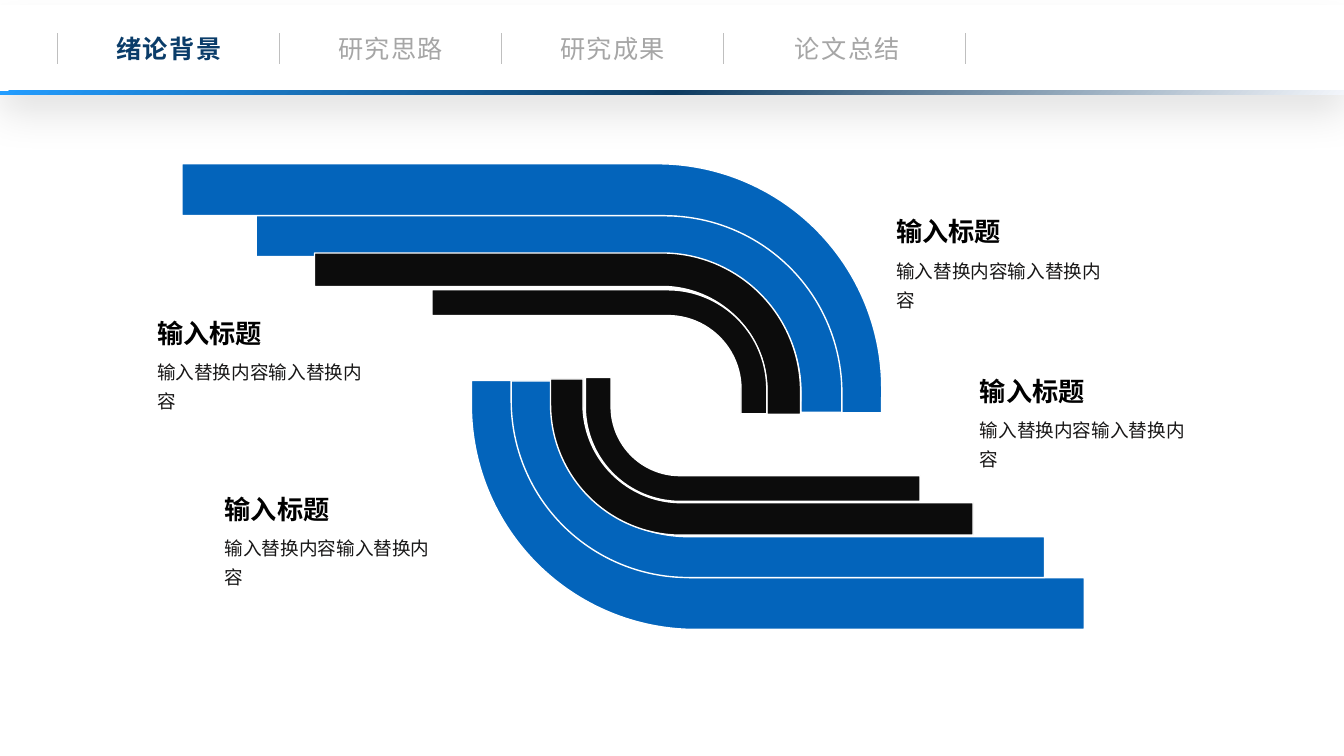
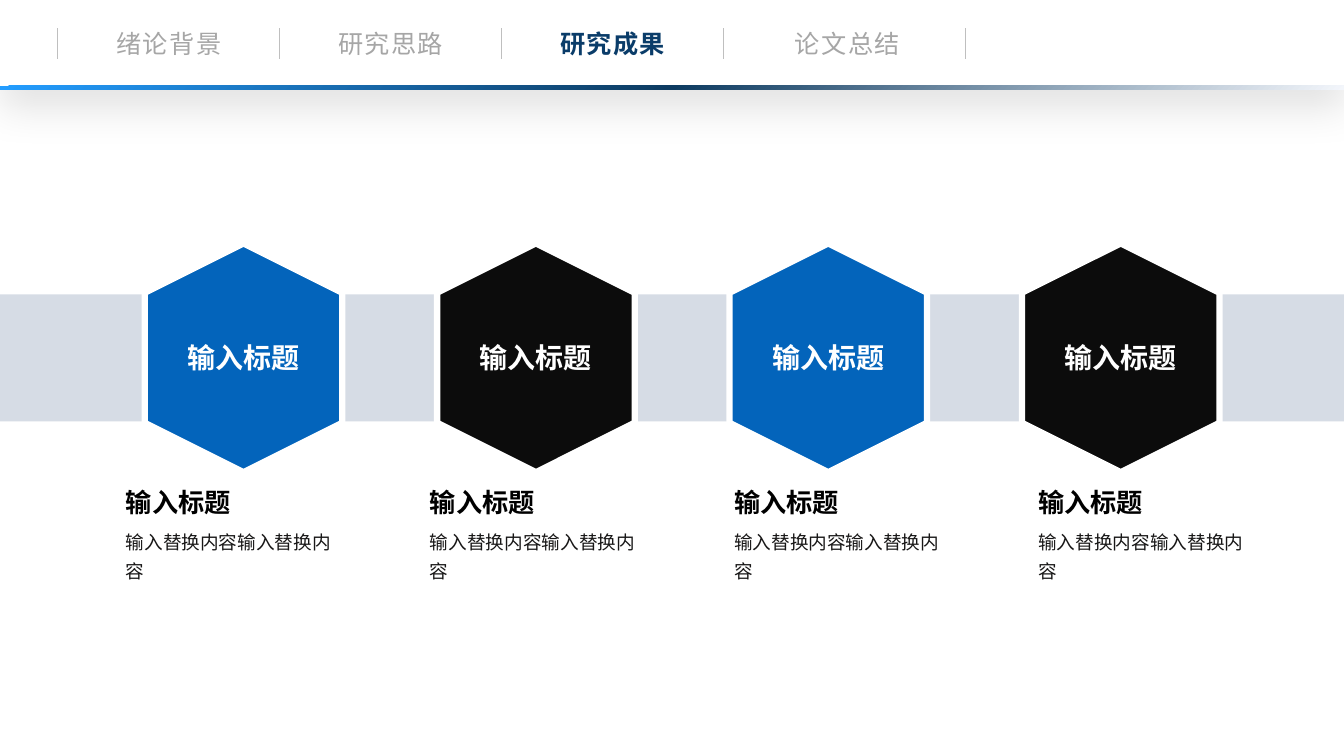
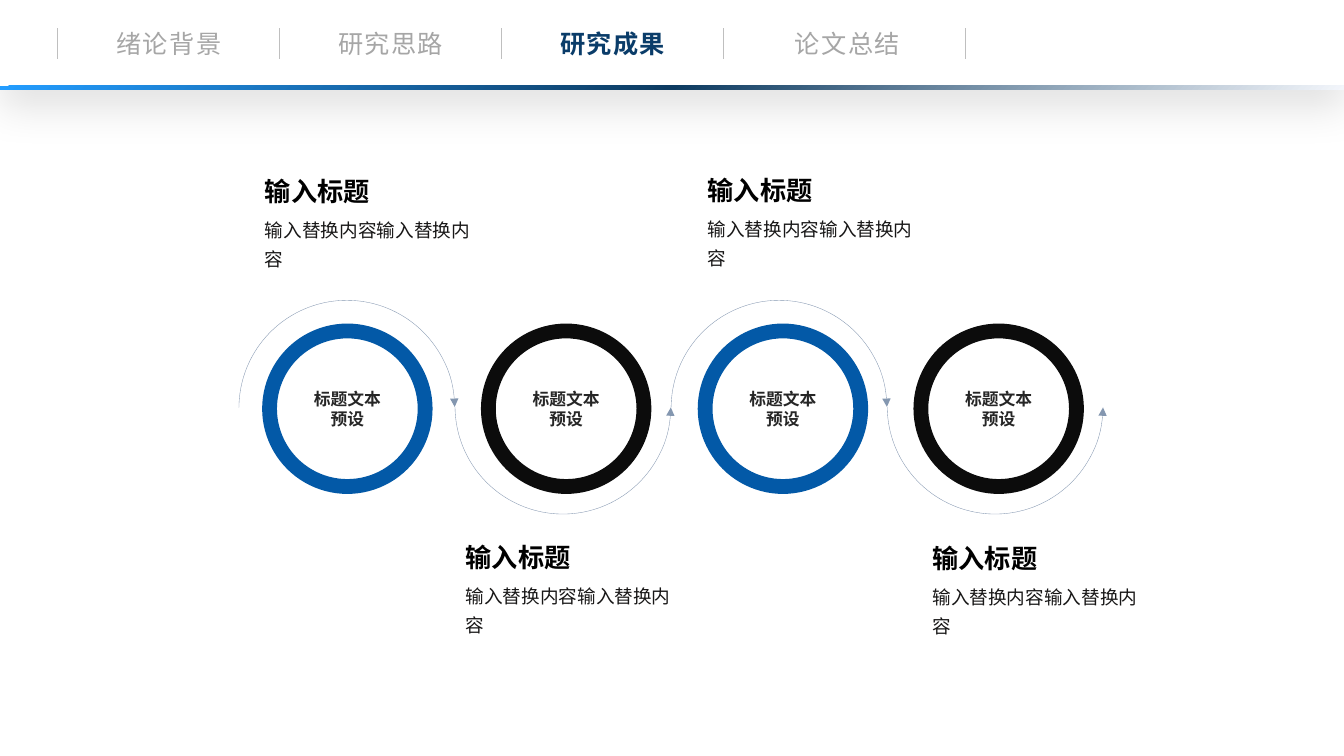
"""Build three thesis slides that share a tabbed navigation header."""
from copy import deepcopy
from dataclasses import dataclass

from pptx import Presentation
from pptx.dml.color import RGBColor
from pptx.enum.shapes import MSO_CONNECTOR, MSO_SHAPE
from pptx.enum.text import MSO_ANCHOR, MSO_AUTO_SIZE, PP_ALIGN
from pptx.oxml import parse_xml
from pptx.oxml.ns import nsdecls, qn
from pptx.util import Inches, Pt

RECTANGLE, HEXAGON = MSO_SHAPE.RECTANGLE, MSO_SHAPE.HEXAGON
BENT_ARROW, ARC, DONUT = MSO_SHAPE.BENT_ARROW, MSO_SHAPE.ARC, MSO_SHAPE.DONUT
STRAIGHT = MSO_CONNECTOR.STRAIGHT
TOP, MIDDLE = MSO_ANCHOR.TOP, MSO_ANCHOR.MIDDLE
LEFT, CENTER, JUSTIFY = PP_ALIGN.LEFT, PP_ALIGN.CENTER, PP_ALIGN.JUSTIFY
GROW = MSO_AUTO_SIZE.SHAPE_TO_FIT_TEXT


@dataclass(frozen=True)
class Theme:
    font: str = "Noto Sans CJK SC"
    blue: str = "0364BB"
    ring_blue: str = "0359A7"
    black: str = "0C0C0C"
    white: str = "FFFFFF"
    band: str = "D6DCE5"
    arc: str = "8497B0"
    separator: str = "BFBFBF"
    tab: str = "A6A6A6"
    active_tab: str = "0A3C69"
    heading: str = "000000"
    body: str = "181717"
    ring_text: str = "262626"
    gradient: tuple = ((0, "F3F6FB"), (50, "0D3B61"), (100, "239DFF"))
    tab_size: float = 18
    heading_size: float = 18.7
    body_size: float = 13.3
    hexagon_size: float = 20
    ring_size: float = 12


THEME = Theme()
SLIDE_WIDTH, SLIDE_HEIGHT = 13.33, 7.5

TABS = [("绪论背景", 1.04), ("研究思路", 3.24), ("研究成果", 5.44), ("论文总结", 7.77)]
SEPARATORS = [0.57, 2.77, 4.97, 7.17, 9.57]
CAPTION_HEADING = "输入标题"
CAPTION_BODY = "输入替换内容输入替换内容"
RING_TEXT = "标题文本\n预设"

BENDS = [
    (4.04, -0.61, 2.47, 6.94, 270, 0.901, THEME.blue),
    (4.47, 0.21, 1.95, 5.81, 270, 0.901, THEME.blue),
    (4.73, 0.9, 1.6, 4.82, 270, 0.859, THEME.black),
    (5.33, 1.83, 1.23, 3.32, 270, 0.8, THEME.black),
    (6.48, 1.97, 2.47, 6.08, 90, 0.901, THEME.blue),
    (6.74, 2.11, 1.95, 5.29, 90, 0.901, THEME.blue),
    (6.78, 2.44, 1.55, 4.19, 90, 0.838, THEME.black),
    (6.85, 2.7, 1.23, 3.32, 90, 0.764, THEME.black),
]
BEND_CAPTIONS = [(1.46, 3.1), (2.13, 4.84), (8.79, 2.09), (9.62, 3.67)]
HEXAGON_COLORS = [THEME.blue, THEME.black] * 2
RINGS = [
    (2.6, THEME.ring_blue),
    (4.77, THEME.black),
    (6.92, THEME.ring_blue),
    (9.06, THEME.black),
]
RING_CAPTIONS = [(2.53, 1.69), (4.52, 5.32), (6.92, 1.68), (9.15, 5.33)]


def write_text(shape, text, *, size, color, bold=False, align=LEFT, anchor=TOP,
               wrap=True, line_spacing=None, tracking=None, auto_size=None):
    """Put one formatted paragraph into a shape."""
    frame = shape.text_frame
    frame.word_wrap = wrap
    frame.vertical_anchor = anchor
    if auto_size is not None:
        frame.auto_size = auto_size
    paragraph = frame.paragraphs[0]
    paragraph.text = text
    paragraph.alignment = align
    if line_spacing:
        paragraph.line_spacing = line_spacing
    for run in paragraph.runs:
        run.font.size = Pt(size)
        run.font.bold = bold
        run.font.color.rgb = RGBColor.from_string(color)
        run.font.name = THEME.font
        properties = run._r.get_or_add_rPr()
        properties.append(parse_xml(f'<a:ea {nsdecls("a")} typeface="{THEME.font}"/>'))
        if tracking:
            properties.set("spc", str(tracking * 100))
    for line_break in paragraph._p.findall(qn("a:br")):
        line_break.append(deepcopy(properties))


def add_figure(slide, kind, left, top, width, height, *, fill=None, line=None,
               line_width=1, rotation=0, flip="", adjustments=()):
    """Add a flat preset shape."""
    shape = slide.shapes.add_shape(
        kind, Inches(left), Inches(top), Inches(width), Inches(height))
    shape.shadow.inherit = False
    shape.rotation = rotation
    for index, value in enumerate(adjustments):
        shape.adjustments[index] = value
    for axis in flip:
        shape.element.spPr.find(qn("a:xfrm")).set(f"flip{axis}", "1")
    if fill:
        shape.fill.solid()
        shape.fill.fore_color.rgb = RGBColor.from_string(fill)
    else:
        shape.fill.background()
    if line:
        shape.line.color.rgb = RGBColor.from_string(line)
        shape.line.width = Pt(line_width)
    else:
        shape.line.fill.background()
    return shape


def add_caption(slide, left, top):
    """Add a bold heading with its body text below."""
    box = slide.shapes.add_textbox(
        Inches(left), Inches(top + 0.37), Inches(2.24), Inches(0.66))
    write_text(box, CAPTION_BODY, size=THEME.body_size, color=THEME.body,
               line_spacing=1.3, auto_size=GROW)
    box = slide.shapes.add_textbox(
        Inches(left), Inches(top), Inches(2.24), Inches(0.42))
    write_text(box, CAPTION_HEADING, size=THEME.heading_size, color=THEME.heading,
               bold=True, align=JUSTIFY, auto_size=GROW)


def add_header(slide, active, top=0):
    """Add the navigation bar, with the active tab as the slide title."""
    bar = add_figure(slide, RECTANGLE, 0, top, SLIDE_WIDTH, 0.87, fill=THEME.white)
    bar.element.spPr.find(qn("a:effectLst")).append(parse_xml(
        f'<a:outerShdw {nsdecls("a")} blurRad="{Pt(28)}" dist="{Pt(15)}" dir="5400000"'
        ' algn="t" rotWithShape="0"><a:srgbClr val="000000"><a:alpha val="11000"/>'
        '</a:srgbClr></a:outerShdw>'))
    for x in SEPARATORS:
        separator = slide.shapes.add_connector(
            STRAIGHT, Inches(x), Inches(top + 0.28), Inches(x), Inches(top + 0.59))
        separator.line.color.rgb = RGBColor.from_string(THEME.separator)
        separator.line.width = Pt(0.5)
        separator.element.spPr.append(parse_xml(f'<a:effectLst {nsdecls("a")}/>'))
    for label, left in TABS:
        position = Inches(left), Inches(top + 0.23), Inches(1.27), Inches(0.4)
        is_active = label == active
        if is_active:
            tab = slide.shapes.title
            tab.left, tab.top, tab.width, tab.height = position
            slide.shapes.element.append(tab.element)
        else:
            tab = slide.shapes.add_textbox(*position)
        write_text(tab, label, size=THEME.tab_size, bold=is_active,
                   color=THEME.active_tab if is_active else THEME.tab,
                   align=CENTER, wrap=False, tracking=1, auto_size=GROW)
    stripe = add_figure(slide, RECTANGLE, 0, top + 0.85, SLIDE_WIDTH, 0.04)
    stops = "".join(f'<a:gs pos="{place * 1000}"><a:srgbClr val="{color}"/></a:gs>'
                    for place, color in THEME.gradient)
    properties = stripe.element.spPr
    properties.replace(properties.find(qn("a:noFill")), parse_xml(
        f'<a:gradFill {nsdecls("a")} rotWithShape="1"><a:gsLst>{stops}</a:gsLst>'
        '<a:path path="circle"><a:fillToRect l="100000" t="100000"/></a:path>'
        '</a:gradFill>'))


def build_background(slide):
    """Draw the two nests of bent bands."""
    for left, top, width, height, rotation, bend, color in BENDS:
        add_figure(slide, BENT_ARROW, left, top, width, height, fill=color,
                   line=THEME.white, rotation=rotation, flip="HV",
                   adjustments=(0.209, 0.104, 0, bend))
    for left, top in BEND_CAPTIONS:
        add_caption(slide, left, top)
    add_header(slide, "绪论背景", top=0.05)


def build_hexagons(slide):
    """Draw the row of hexagons on a band."""
    add_figure(slide, RECTANGLE, 0, 2.92, SLIDE_WIDTH, 1.26, fill=THEME.band)
    for index, color in enumerate(HEXAGON_COLORS):
        hexagon = add_figure(slide, HEXAGON, 1.28 + 2.9 * index, 2.57, 2.27, 1.96,
                             fill=color, line=THEME.white, line_width=4.5, rotation=90)
        write_text(hexagon, CAPTION_HEADING, size=THEME.hexagon_size, color=THEME.white,
                   bold=True, align=CENTER, anchor=MIDDLE, wrap=False)
        hexagon.text_frame._txBody.bodyPr.set("vert", "vert270")
    for index in range(len(HEXAGON_COLORS)):
        add_caption(slide, 1.15 + 9.05 / 3 * index, 4.78)
    add_header(slide, "研究成果")


def build_rings(slide):
    """Draw the rings and the wave of arrows around them."""
    for index in range(len(RINGS)):
        below = index % 2
        arc = add_figure(slide, ARC, 2.37 + 6.43 / 3 * index, 2.96 if below else 2.98,
                         2.14, 2.14, line=THEME.arc, line_width=0.25,
                         flip="V" if below else "", adjustments=(108.283, 215.586))
        arc.line._get_or_add_ln().append(
            parse_xml(f'<a:tailEnd {nsdecls("a")} type="triangle"/>'))
    for left, color in RINGS:
        ring = add_figure(slide, DONUT, left, 3.21, 1.69, 1.69, fill=color,
                          adjustments=(0.087,))
        write_text(ring, RING_TEXT, size=THEME.ring_size, color=THEME.ring_text,
                   bold=True, align=CENTER, anchor=MIDDLE, wrap=False)
    for left, top in RING_CAPTIONS:
        add_caption(slide, left, top)
    add_header(slide, "研究成果")


def main():
    """Build and save the presentation."""
    presentation = Presentation()
    presentation.slide_width = Inches(SLIDE_WIDTH)
    presentation.slide_height = Inches(SLIDE_HEIGHT)
    title_only = presentation.slide_layouts[5]
    for build in (build_background, build_hexagons, build_rings):
        build(presentation.slides.add_slide(title_only))
    presentation.save("out.pptx")


if __name__ == "__main__":
    main()
